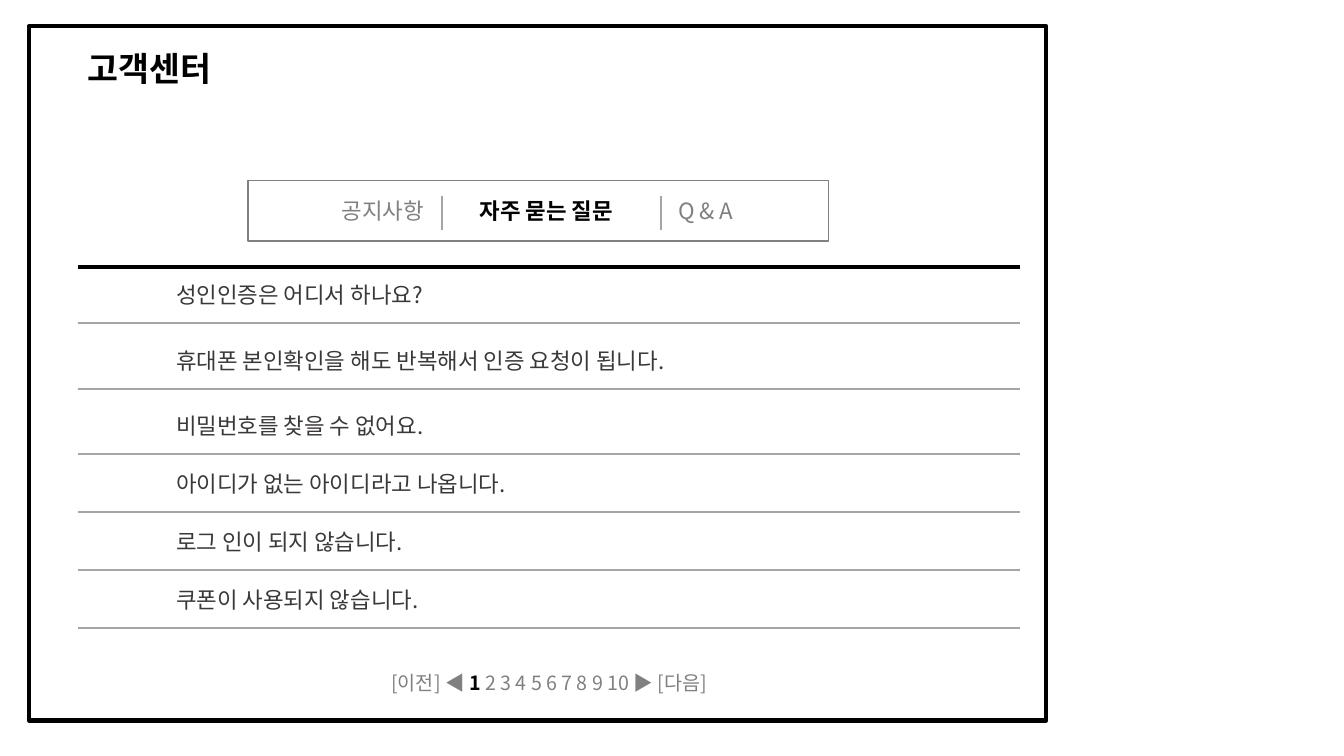
"""Build the customer centre page with its list of frequent questions."""
import lxml.etree
import pptx
import pptx.dml.color
import pptx.enum.shapes
import pptx.enum.text
import pptx.oxml.ns
import pptx.util

Cm = pptx.util.Cm
Pt = pptx.util.Pt
qn = pptx.oxml.ns.qn
Align = pptx.enum.text.PP_ALIGN
Anchor = pptx.enum.text.MSO_ANCHOR
RECTANGLE = pptx.enum.shapes.MSO_SHAPE.RECTANGLE

THEME = {
    "font": "Noto Sans CJK KR",
    "black": pptx.dml.color.RGBColor.from_string("000000"),
    "white": pptx.dml.color.RGBColor.from_string("FFFFFF"),
    "question": pptx.dml.color.RGBColor.from_string("3B3838"),
    "muted": pptx.dml.color.RGBColor.from_string("808080"),
    "rule": pptx.dml.color.RGBColor.from_string("A5A5A5"),
    "title_size": Pt(24),
    "body_size": Pt(16),
    "pager_size": Pt(14),
}


def write(shape, spans, size, align=Align.LEFT, wrap=False, anchor=Anchor.TOP):
    """Fill the shape with one paragraph of (text, colour, bold) spans."""
    frame = shape.text_frame
    frame.word_wrap = wrap
    frame.vertical_anchor = anchor
    para = frame.paragraphs[0]
    para.alignment = align
    for text, colour, bold in spans:
        span = para.add_run()
        span.text = text
        span.font.size = size
        span.font.bold = bold
        span.font.name = THEME["font"]
        span.font.color.rgb = THEME[colour]
        east_asian = lxml.etree.SubElement(span.font._element, qn("a:ea"))
        east_asian.set("typeface", THEME["font"])
    return para


def draw_line(page, start, end, colour, width):
    """Draw a straight line between two points given in centimetres."""
    line = page.shapes.add_connector(
        pptx.enum.shapes.MSO_CONNECTOR.STRAIGHT, *map(Cm, start + end))
    line.line.color.rgb = THEME[colour]
    line.line.width = Pt(width)
    lxml.etree.SubElement(line._element.spPr, qn("a:effectLst"))


deck = pptx.Presentation()
deck.slide_width = Cm(33.87)
deck.slide_height = Cm(19.05)
page = deck.slides.add_slide(deck.slide_layouts[5])

title = page.shapes.title
title.left, title.top, title.width, title.height = map(Cm, (1.96, 1.07, 3.94, 1.28))
write(title, [("고객센터", "black", True)], THEME["title_size"])

border = page.shapes.add_shape(RECTANGLE, Cm(0.74), Cm(0.66), Cm(25.63), Cm(17.5))
border.shadow.inherit = False
border.fill.background()
border.line.color.rgb = THEME["black"]
border.line.width = Pt(3)

left, right = 1.96, 25.7
draw_line(page, (left, 6.73), (right, 6.73), "black", 3)

questions = [
    ("성인인증은 어디서 하나요?", 8.15, 7.44),
    ("휴대폰 본인확인을 해도 반복해서 인증 요청이 됩니다.", 9.8, 14.25),
    ("비밀번호를 찾을 수 없어요.", 11.43, 7.52),
    ("아이디가 없는 아이디라고 나옵니다.", 12.91, 9.98),
    ("로그 인이 되지 않습니다.", 14.37, 6.93),
    ("쿠폰이 사용되지 않습니다.", 15.82, 7.32),
]
for question, bottom, width in questions:
    draw_line(page, (left, bottom), (right, bottom), "rule", 1.5)
    box = page.shapes.add_textbox(Cm(4.19), Cm(bottom - 1.18), Cm(width), Cm(0.94))
    write(box, [(question, "question", False)], THEME["body_size"])

pager = page.shapes.add_textbox(Cm(4.98), Cm(16.79), Cm(17.73), Cm(0.86))
write(pager, [
    ("[이전] ◀ ", "muted", False),
    ("1", "black", True),
    (" 2 3 4 5 6 7 8 9 10 ▶ [다음]", "muted", False),
], THEME["pager_size"], Align.CENTER, wrap=True)

menu = page.shapes.add_shape(RECTANGLE, Cm(6.25), Cm(4.55), Cm(14.63), Cm(1.52))
menu.shadow.inherit = False
menu.fill.solid()
menu.fill.fore_color.rgb = THEME["white"]
menu.line.color.rgb = THEME["muted"]
menu.line.width = Pt(1)
menu.text_frame.margin_left = Cm(2.36)
menu_para = write(menu, [
    ("공지사항\t", "muted", False),
    ("자주 묻는 질문\t", "black", True),
    ("Q & A", "muted", False),
], THEME["body_size"], wrap=True, anchor=Anchor.MIDDLE)
tab_list = lxml.etree.SubElement(menu_para._element.get_or_add_pPr(), qn("a:tabLst"))
for position in (3.48, 8.48):
    tab = lxml.etree.SubElement(tab_list, qn("a:tab"))
    tab.set("pos", str(int(Cm(position))))
    tab.set("algn", "l")

for divider in (11.13, 16.66):
    draw_line(page, (divider, 4.95), (divider, 5.79), "rule", 1.5)

deck.save("out.pptx")
